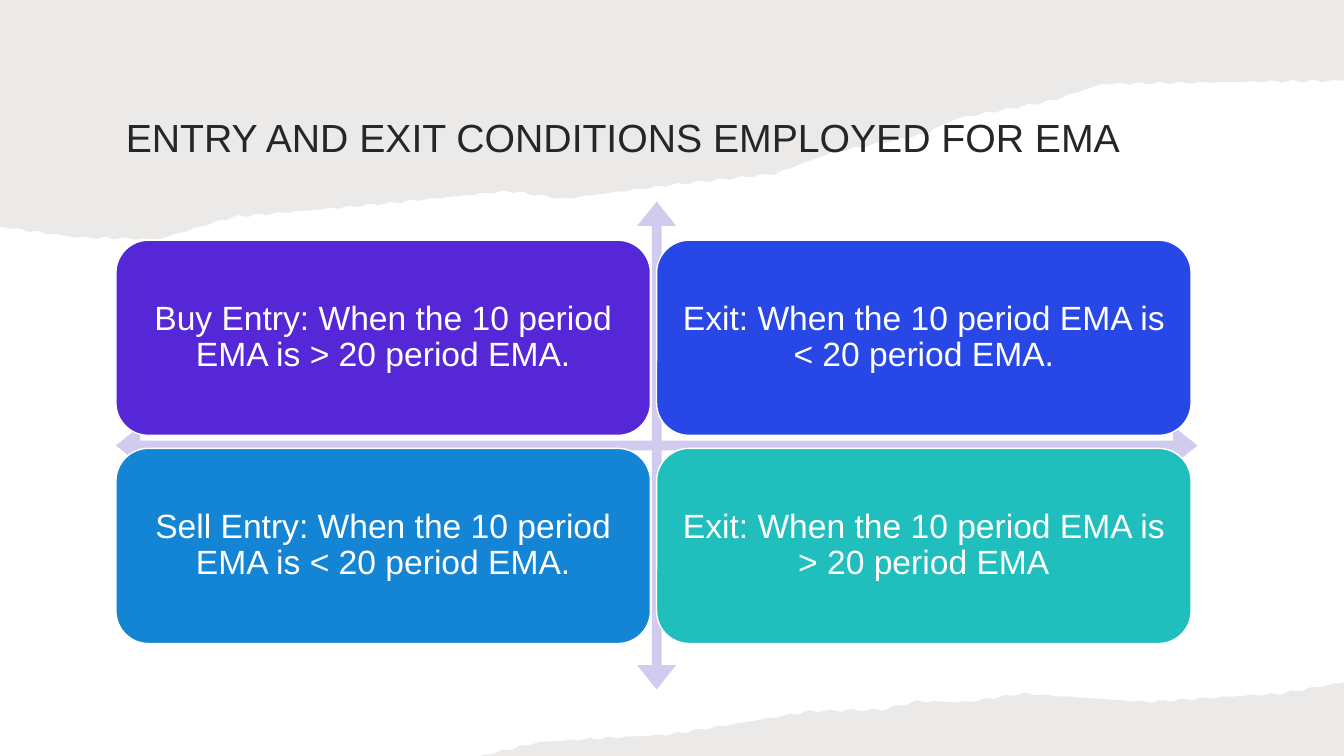
from dataclasses import dataclass
from itertools import pairwise
from math import sin

from pptx import Presentation
from pptx.dml.color import RGBColor
from pptx.enum.shapes import MSO_SHAPE
from pptx.enum.text import MSO_ANCHOR, PP_ALIGN
from pptx.oxml.xmlchemy import OxmlElement
from pptx.shapes.autoshape import Shape
from pptx.slide import Slide
from pptx.text.text import TextFrame
from pptx.util import Pt

QUAD_ARROW = MSO_SHAPE.QUAD_ARROW
ROUNDED_RECTANGLE = MSO_SHAPE.ROUNDED_RECTANGLE
MIDDLE = MSO_ANCHOR.MIDDLE
LEFT, CENTER = PP_ALIGN.LEFT, PP_ALIGN.CENTER

FONT = "Arial"
WHITE = "FFFFFF"
TITLE_COLOR = "262626"
PAPER_COLOR = "82766A"
PAPER_OPACITY = 15
ARROW_COLOR = "D0CBEF"

SLIDE_WIDTH, SLIDE_HEIGHT = 960, 540
CONTENT_LEFT, CONTENT_WIDTH = 82.8, 772.6
TITLE_TOP, TITLE_HEIGHT = 48.2, 95.8
ARROW_TOP, ARROW_HEIGHT = 144, 348.5
ARROW_ADJUSTMENTS = (0.02, 0.04, 0.05)  # shaft width, head half-width, head length

CARD_TOP = 171.6
CARD_WIDTH, CARD_HEIGHT = 381.8, 139.4
COLUMN_GAP, ROW_GAP = 4.4, 9.3

TEAR_STEP = 4
TEAR_ROUGHNESS = 0.5

Point = tuple[float, float]


@dataclass(frozen=True)
class TornPaper:
    """A sheet between a straight slide edge and a tear through the bends."""
    straight_edge: float
    bends: tuple[Point, ...]


@dataclass(frozen=True)
class Card:
    color: str
    text: str


TOP_PAPER = TornPaper(0, (
    (0, 162), (54, 169.5), (113, 171), (166, 155), (258, 147), (363, 136.5),
    (403, 142), (480, 132), (554, 124), (594, 109), (660, 96), (682, 85),
    (751, 72), (787, 60), (SLIDE_WIDTH, 57.6),
))
BOTTOM_PAPER = TornPaper(SLIDE_HEIGHT, (
    (343, SLIDE_HEIGHT), (386, 530), (480, 524.5), (580, 508), (630, 507),
    (655, 501), (690, 501.5), (730, 495.5), (820, 501.5), (880, 497.5),
    (915, 495.5), (SLIDE_WIDTH, 487.4),
))
CARD_ROWS = (
    (Card("5527D7", "Buy Entry: When the 10 period EMA is > 20 period EMA."),
     Card("2748E6", "Exit: When the 10 period EMA is < 20 period EMA.")),
    (Card("1485D5", "Sell Entry: When the 10 period EMA is < 20 period EMA."),
     Card("20BEBD", "Exit: When the 10 period EMA is > 20 period EMA")),
)


def rgb(color: str) -> RGBColor:
    return RGBColor.from_string(color)


def fill_shape(shape: Shape, color: str) -> None:
    """Give the shape a flat fill with no shadow and no outline."""
    shape.shadow.inherit = False
    shape.fill.solid()
    shape.fill.fore_color.rgb = rgb(color)
    shape.line.fill.background()


def set_opacity(shape: Shape, percent: int) -> None:
    alpha = OxmlElement("a:alpha")
    alpha.set("val", str(percent * 1000))
    shape.element.find(".//{*}solidFill/{*}srgbClr").append(alpha)


def write_text(text_frame: TextFrame, text: str, size: float, color: str,
               alignment: PP_ALIGN, line_spacing: float) -> None:
    text_frame.text = text
    text_frame.word_wrap = True
    text_frame.vertical_anchor = MIDDLE
    paragraph = text_frame.paragraphs[0]
    paragraph.alignment = alignment
    paragraph.line_spacing = line_spacing
    font = paragraph.runs[0].font
    font.name = FONT
    font.size = Pt(size)
    font.color.rgb = rgb(color)


def tear_between(bends: tuple[Point, ...]) -> list[Point]:
    """Join the bends in short steps, roughened by two out-of-step waves."""
    tear = [bends[0]]
    for (left, start), (right, end) in pairwise(bends):
        steps = max(1, round((right - left) / TEAR_STEP))
        for step in range(1, steps + 1):
            share = step / steps
            x = left + share * (right - left)
            ripple = TEAR_ROUGHNESS * (sin(0.4 * x) + sin(1.1 * x))
            tear.append((x, start + share * (end - start) + ripple))
    tear[-1] = bends[-1]
    return tear


def add_torn_paper(slide: Slide, paper: TornPaper) -> None:
    tear = tear_between(paper.bends)
    corners = [(tear[-1][0], paper.straight_edge), (tear[0][0], paper.straight_edge)]
    start, *rest = [(Pt(x), Pt(y)) for x, y in tear + corners]
    builder = slide.shapes.build_freeform(*start)
    builder.add_line_segments(rest, close=True)
    shape = builder.convert_to_shape()
    fill_shape(shape, PAPER_COLOR)
    set_opacity(shape, PAPER_OPACITY)


def add_title(slide: Slide, text: str) -> None:
    title = slide.shapes.add_textbox(Pt(CONTENT_LEFT), Pt(TITLE_TOP),
                                     Pt(CONTENT_WIDTH), Pt(TITLE_HEIGHT))
    write_text(title.text_frame, text, 28, TITLE_COLOR, LEFT, 1.1)


def add_axes(slide: Slide) -> None:
    """Add the four-way arrow behind the cards."""
    arrow = slide.shapes.add_shape(QUAD_ARROW, Pt(CONTENT_LEFT), Pt(ARROW_TOP),
                                   Pt(CONTENT_WIDTH), Pt(ARROW_HEIGHT))
    for index, adjustment in enumerate(ARROW_ADJUSTMENTS):
        arrow.adjustments[index] = adjustment
    fill_shape(arrow, ARROW_COLOR)


def add_card(slide: Slide, card: Card, row: int, column: int) -> None:
    left = CONTENT_LEFT + column * (CARD_WIDTH + COLUMN_GAP)
    top = CARD_TOP + row * (CARD_HEIGHT + ROW_GAP)
    shape = slide.shapes.add_shape(ROUNDED_RECTANGLE, Pt(left), Pt(top),
                                   Pt(CARD_WIDTH), Pt(CARD_HEIGHT))
    fill_shape(shape, card.color)
    shape.line.color.rgb = rgb(WHITE)
    shape.line.width = Pt(1)
    write_text(shape.text_frame, card.text, 24, WHITE, CENTER, 0.9)


def main() -> None:
    presentation = Presentation()
    presentation.slide_width = Pt(SLIDE_WIDTH)
    presentation.slide_height = Pt(SLIDE_HEIGHT)
    slide = presentation.slides.add_slide(presentation.slide_layouts[6])
    for paper in (TOP_PAPER, BOTTOM_PAPER):
        add_torn_paper(slide, paper)
    add_title(slide, "ENTRY AND EXIT CONDITIONS EMPLOYED FOR EMA")
    add_axes(slide)
    for row, cards in enumerate(CARD_ROWS):
        for column, card in enumerate(cards):
            add_card(slide, card, row, column)
    presentation.save("out.pptx")


if __name__ == "__main__":
    main()
